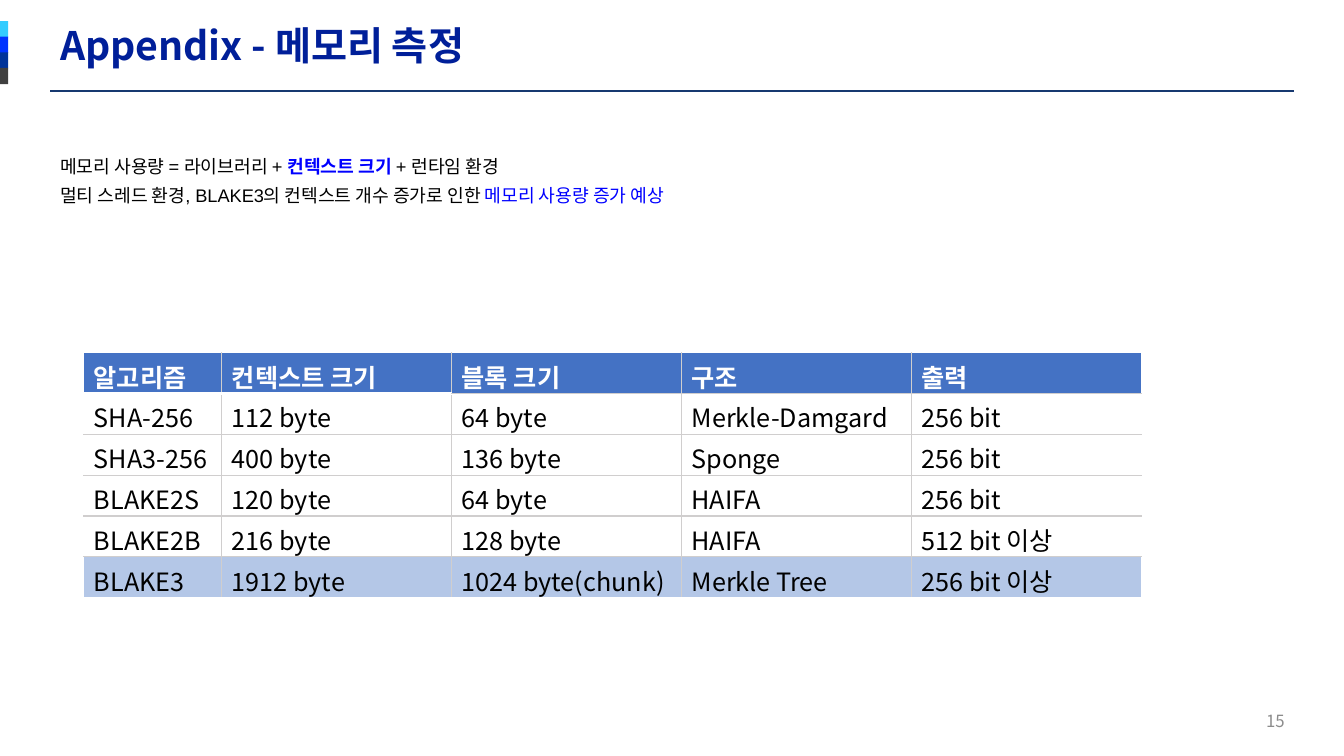
from dataclasses import dataclass

from lxml.etree import SubElement
from pptx import Presentation
from pptx.dml.color import RGBColor
from pptx.enum.shapes import MSO_CONNECTOR, MSO_SHAPE
from pptx.enum.text import MSO_ANCHOR, PP_ALIGN
from pptx.oxml.ns import qn
from pptx.util import Inches, Pt


@dataclass(frozen=True)
class Theme:
    heading_font: str = "Noto Sans CJK KR"
    body_font: str = "Arial"
    title_size: float = 28
    body_size: float = 13
    table_size: float = 18
    number_size: float = 12
    title: str = "001F99"
    text: str = "000000"
    accent: str = "0000FF"
    number: str = "8C8C8C"
    rule: str = "173970"
    header: str = "4472C4"
    highlight: str = "B4C7E7"
    grid: str = "D0CECE"
    white: str = "FFFFFF"
    stripes: tuple = ("33CCFF", "0033FF", "003399", "404040")


THEME = Theme()

MEMORY_NOTES = [
    [("메모리 사용량 = 라이브러리 + ", {}),
     ("컨텍스트 크기 ", {"color": THEME.accent, "bold": True}),
     ("+ 런타임 환경", {})],
    [("멀티 스레드 환경, BLAKE3의 컨텍스트 개수 증가로 인한 ", {}),
     ("메모리 사용량 증가 예상", {"color": THEME.accent})],
]

ALGORITHMS = [
    ["알고리즘", "컨텍스트 크기", "블록 크기", "구조", "출력"],
    ["SHA-256", "112 byte", "64 byte", "Merkle-Damgard", "256 bit"],
    ["SHA3-256", "400 byte", "136 byte", "Sponge", "256 bit"],
    ["BLAKE2S", "120 byte", "64 byte", "HAIFA", "256 bit"],
    ["BLAKE2B", "216 byte", "128 byte", "HAIFA", "512 bit 이상"],
    ["BLAKE3", "1912 byte", "1024 byte(chunk)", "Merkle Tree", "256 bit 이상"],
]


def add_span(para, text, *, size, color=THEME.text, bold=False, font=THEME.heading_font):
    span = para.add_run()
    span.text = text
    span.font.size = Pt(size)
    span.font.bold = bold
    span.font.name = font
    span.font.color.rgb = RGBColor.from_string(color)
    east_asian = SubElement(span.font._element, qn("a:ea"))
    east_asian.set("typeface", THEME.heading_font)


def add_text(page, left, top, width, height, lines, *, anchor=MSO_ANCHOR.TOP,
             align=PP_ALIGN.LEFT, line_spacing=1.0, gap=0, **span_format):
    box = page.shapes.add_textbox(Inches(left), Inches(top), Inches(width), Inches(height))
    frame = box.text_frame
    frame.word_wrap = True
    frame.vertical_anchor = anchor
    for index, spans in enumerate(lines):
        para = frame.add_paragraph() if index else frame.paragraphs[0]
        para.alignment = align
        para.line_spacing = line_spacing
        para.space_before = Pt(gap if index else 0)
        para.space_after = Pt(gap)
        for text, changes in spans:
            add_span(para, text, **{**span_format, **changes})


def add_stripes(page):
    for index, color in enumerate(THEME.stripes):
        stripe = page.shapes.add_shape(
            MSO_SHAPE.RECTANGLE, 0, Inches(0.21 + index * 0.155), Inches(0.08), Inches(0.16))
        stripe.shadow.inherit = False
        stripe.fill.solid()
        stripe.fill.fore_color.rgb = RGBColor.from_string(color)
        stripe.line.fill.background()


def add_rule(page):
    rule = page.shapes.add_connector(
        MSO_CONNECTOR.STRAIGHT, Inches(0.5), Inches(0.9), Inches(12.83), Inches(0.9))
    rule.line.color.rgb = RGBColor.from_string(THEME.rule)
    rule.line.width = Pt(1.5)
    SubElement(rule._element.spPr, qn("a:effectLst"))


def set_borders(cell, borders):
    properties = cell._tc.get_or_add_tcPr()
    for position, (side, (color, width)) in enumerate(borders.items()):
        edge = properties.makeelement(qn(f"a:ln{side}"), {"w": str(Pt(width))})
        fill = SubElement(edge, qn("a:solidFill"))
        SubElement(fill, qn("a:srgbClr")).set("val", color)
        properties.insert(position, edge)


def cell_borders(row, column, last_row, last_column):
    grid, outer, thick = (THEME.grid, 1), (THEME.white, 1), (THEME.white, 3)
    under_header = thick if column < 2 else grid
    below = under_header if row == 0 else grid
    above = under_header if row == 1 else grid
    return {
        "L": outer if column == 0 else grid,
        "R": outer if column == last_column else grid,
        "T": outer if row == 0 else above,
        "B": outer if row == last_row else below,
    }


def add_algorithm_table(page):
    widths = [1.37] + [2.28] * 4
    last_row, last_column = len(ALGORITHMS) - 1, len(widths) - 1
    table = page.shapes.add_table(
        len(ALGORITHMS), len(widths), Inches(0.83), Inches(3.5),
        Inches(sum(widths)), Inches(2.43)).table
    table.first_row = False
    table.horz_banding = False
    for column, width in zip(table.columns, widths):
        column.width = Inches(width)
    fills = {0: THEME.header, last_row: THEME.highlight}
    for row, values in enumerate(ALGORITHMS):
        for column, value in enumerate(values):
            cell = table.cell(row, column)
            cell.fill.solid()
            cell.fill.fore_color.rgb = RGBColor.from_string(fills.get(row, THEME.white))
            set_borders(cell, cell_borders(row, column, last_row, last_column))
            add_span(cell.text_frame.paragraphs[0], value, size=THEME.table_size,
                     color=THEME.text if row else THEME.white, bold=row == 0)


def main():
    deck = Presentation()
    deck.slide_width, deck.slide_height = Inches(13.33), Inches(7.5)
    page = deck.slides.add_slide(deck.slide_layouts[6])
    add_rule(page)
    add_stripes(page)
    add_text(page, 0.5, 0.15, 12.34, 0.59, [[("Appendix - 메모리 측정", {})]],
             anchor=MSO_ANCHOR.MIDDLE, size=THEME.title_size, color=THEME.title, bold=True)
    add_text(page, 11.73, 6.95, 1.11, 0.4, [[("15", {})]], anchor=MSO_ANCHOR.MIDDLE,
             align=PP_ALIGN.RIGHT, size=THEME.number_size, color=THEME.number)
    add_text(page, 0.5, 1.45, 12.34, 0.81, MEMORY_NOTES, line_spacing=1.2, gap=1,
             size=THEME.body_size, font=THEME.body_font)
    add_algorithm_table(page)
    deck.save("out.pptx")


if __name__ == "__main__":
    main()
